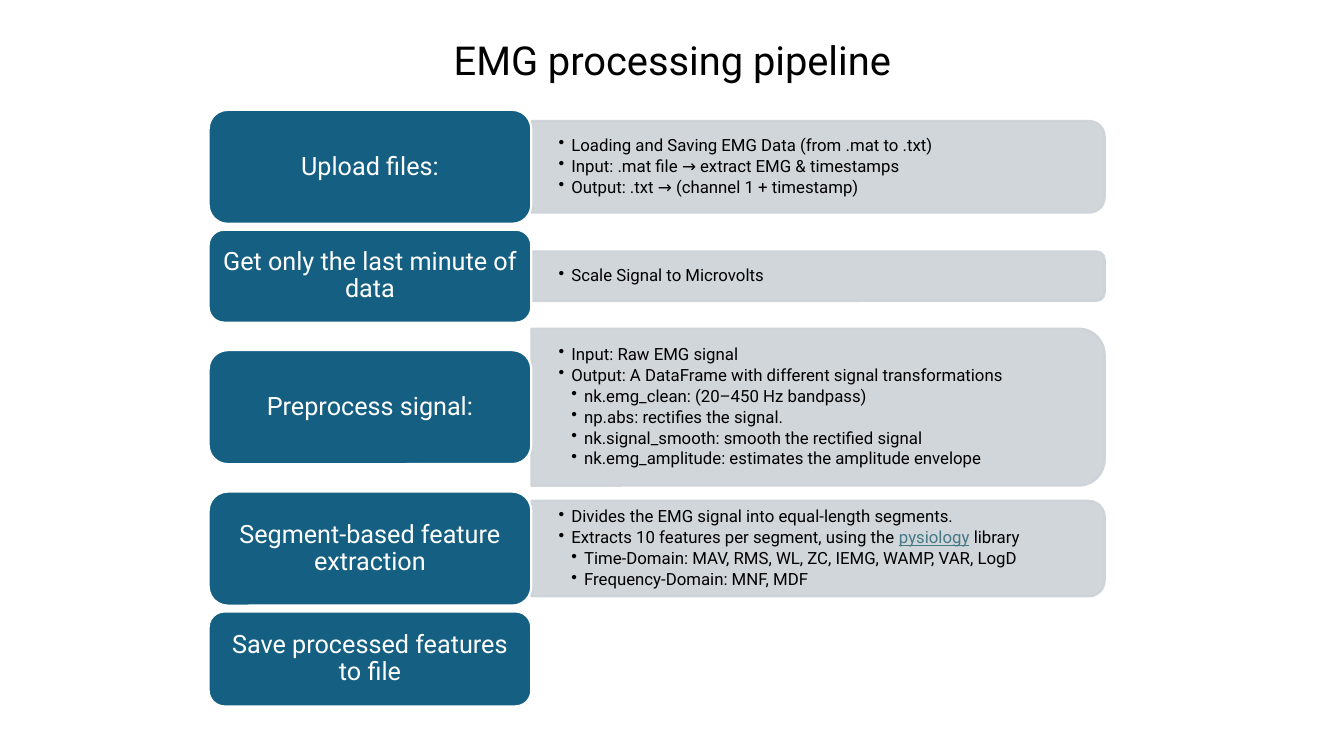
from lxml import etree
from pptx import Presentation
from pptx.dml.color import RGBColor
from pptx.enum.shapes import MSO_SHAPE
from pptx.enum.text import MSO_ANCHOR, MSO_AUTO_SIZE, PP_ALIGN
from pptx.oxml.ns import qn
from pptx.util import Cm, Pt

ROUND_RECT = MSO_SHAPE.ROUNDED_RECTANGLE
ROUND_TOP = MSO_SHAPE.ROUND_2_SAME_RECTANGLE
MIDDLE, BOTTOM = MSO_ANCHOR.MIDDLE, MSO_ANCHOR.BOTTOM
CENTER, LEFT = PP_ALIGN.CENTER, PP_ALIGN.LEFT
NO_FIT = MSO_AUTO_SIZE.NONE

FONT = "Roboto"
COLORS = {"step": "156082", "panel": "CCD2D8", "white": "FFFFFF",
          "text": "000000", "link": "467886"}

STEP_LEFT, STEP_WIDTH = 5.26, 8.13
PANEL_LEFT, PANEL_WIDTH = STEP_LEFT + STEP_WIDTH, 14.45
FIRST_TOP, ROW_GAP = 2.77, 0.15

STEPS = [
    ("Upload files:", 2.87, 2.31, [
        (0, "Loading and Saving EMG Data (from .mat to .txt)"),
        (0, "Input: .mat file → extract EMG & timestamps"),
        (0, "Output: .txt → (channel 1 + timestamp)")]),
    ("Get only the last minute of data", 2.34, 1.25, [
        (0, "Scale Signal to Microvolts")]),
    ("Preprocess signal:", 2.87, 3.96, [
        (0, "Input: Raw EMG signal"),
        (0, "Output: A DataFrame with different signal transformations"),
        (1, "nk.emg_clean: (20–450 Hz bandpass)"),
        (1, "np.abs: rectifies the signal."),
        (1, "nk.signal_smooth: smooth the rectified signal"),
        (1, "nk.emg_amplitude: estimates the amplitude envelope")]),
    ("Segment-based feature extraction", 2.87, 2.41, [
        (0, "Divides the EMG signal into equal-length segments."),
        (0, "Extracts 10 features per segment, using the ", "pysiology", " library"),
        (1, "Time-Domain: MAV, RMS, WL, ZC, IEMG, WAMP, VAR, LogD"),
        (1, "Frequency-Domain: MNF, MDF")]),
    ("Save processed features to file", 2.39, 0, []),
]


def rgb(name):
    """Return the named colour."""
    return RGBColor.from_string(COLORS[name])


def add_run(p, text, size, color):
    """Add a formatted run to a paragraph."""
    r = p.add_run()
    r.text = text
    r.font.name = FONT
    r.font.size = Pt(size)
    r.font.color.rgb = rgb(color)
    return r


def set_frame(tf, anchor, side=0.18, edge=0.0):
    """Set wrapping, anchor and margins of a text frame."""
    tf.word_wrap = True
    tf.auto_size = NO_FIT
    tf.vertical_anchor = anchor
    tf.margin_left = tf.margin_right = Cm(side)
    tf.margin_top = tf.margin_bottom = Cm(edge)


def add_box(s, kind, left, top, width, height, fill, line):
    """Add a filled, outlined preset shape without shadow."""
    sp = s.shapes.add_shape(kind, Cm(left), Cm(top), Cm(width), Cm(height))
    sp.shadow.inherit = False
    sp.fill.solid()
    sp.fill.fore_color.rgb = rgb(fill)
    sp.line.color.rgb = rgb(line)
    sp.line.width = Pt(1.5)
    return sp


def add_title(s, text):
    """Fill and place the title placeholder."""
    sp = s.shapes.title
    sp.left, sp.top, sp.width, sp.height = Cm(2.34), Cm(1.02), Cm(29.21), Cm(1.19)
    set_frame(sp.text_frame, BOTTOM, 0.25, 0.13)
    p = sp.text_frame.paragraphs[0]
    p.alignment = CENTER
    p.line_spacing = 0.7
    add_run(p, text, 28.5, "text")


def add_step(s, text, middle, height):
    """Add a step block centred on a height."""
    sp = add_box(s, ROUND_RECT, STEP_LEFT, middle - height / 2, STEP_WIDTH, height,
                 "step", "white")
    set_frame(sp.text_frame, MIDDLE)
    p = sp.text_frame.paragraphs[0]
    p.alignment = CENTER
    p.line_spacing = 0.9
    add_run(p, text, 18, "white")


def add_panel(s, middle, height):
    """Add a translucent panel with its right corners rounded."""
    left = PANEL_LEFT + (PANEL_WIDTH - height) / 2
    sp = add_box(s, ROUND_TOP, left, middle - PANEL_WIDTH / 2, height, PANEL_WIDTH,
                 "panel", "panel")
    sp.rotation = 90
    for clr in sp._element.spPr.iter(qn("a:srgbClr")):
        etree.SubElement(clr, qn("a:alpha"), val="90000")


def add_bullets(s, middle, height, items):
    """Add the bulleted details over a panel."""
    sp = s.shapes.add_textbox(Cm(PANEL_LEFT), Cm(middle - height / 2),
                              Cm(PANEL_WIDTH), Cm(height))
    tf = sp.text_frame
    set_frame(tf, MIDDLE, 0.69)
    for i, (level, *parts) in enumerate(items):
        p = tf.add_paragraph() if i else tf.paragraphs[0]
        pPr = p._p.get_or_add_pPr()
        pPr.set("marL", str(Cm(0.32 * (level + 1))))
        pPr.set("indent", str(-Cm(0.32)))
        etree.SubElement(pPr, qn("a:buChar"), char="•")
        p.level = level
        p.alignment = LEFT
        p.line_spacing = 0.9
        p.space_after = Pt(2)
        for part in parts:
            is_link = part == "pysiology"
            r = add_run(p, part, 12, "link" if is_link else "text")
            if is_link:
                r.font.underline = True


def main():
    """Build the slide and save it."""
    prs = Presentation()
    prs.slide_width, prs.slide_height = Cm(33.87), Cm(19.05)
    s = prs.slides.add_slide(prs.slide_layouts[5])
    add_title(s, "EMG processing pipeline")
    top = FIRST_TOP
    for text, step_height, panel_height, items in STEPS:
        row_height = max(step_height, panel_height)
        middle = top + row_height / 2
        if items:
            add_panel(s, middle, panel_height)
            add_bullets(s, middle, panel_height, items)
        add_step(s, text, middle, step_height)
        top += row_height + ROW_GAP
    prs.save("out.pptx")


if __name__ == "__main__":
    main()
